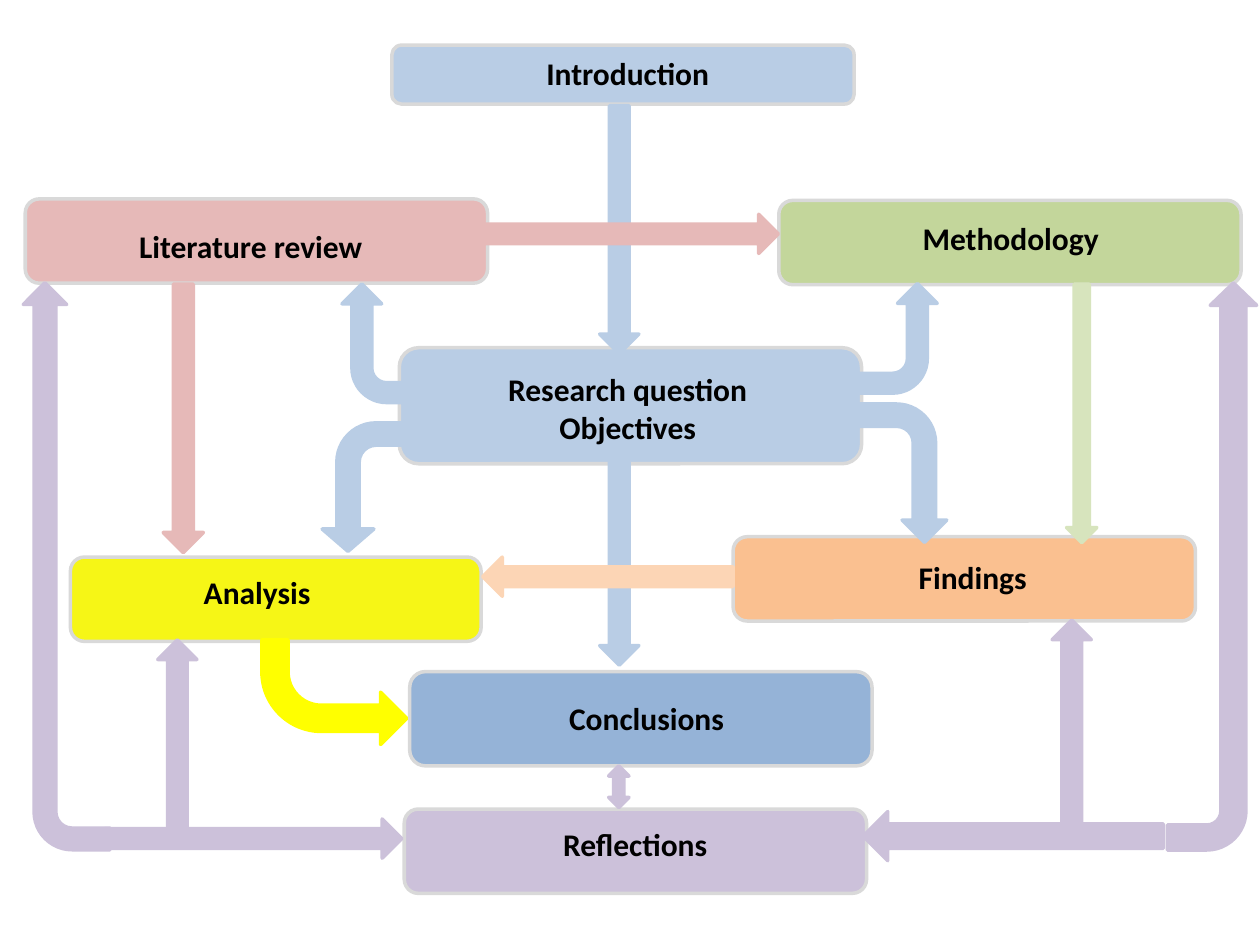
from pptx import Presentation
from pptx.dml.color import RGBColor
from pptx.enum.shapes import MSO_SHAPE
from pptx.enum.text import MSO_AUTO_SIZE, PP_ALIGN
from pptx.oxml.ns import qn
from pptx.util import Cm, Pt

ROUND = MSO_SHAPE.ROUNDED_RECTANGLE
BENT = MSO_SHAPE.BENT_ARROW
DOWN = MSO_SHAPE.DOWN_ARROW
RIGHT = MSO_SHAPE.RIGHT_ARROW
BOTH = MSO_SHAPE.UP_DOWN_ARROW
CENTER = PP_ALIGN.CENTER
GROW = MSO_AUTO_SIZE.SHAPE_TO_FIT_TEXT

BLUE, ROSE, LILAC = "B9CDE5", "E6B9B8", "CCC1DA"
GREY, BLACK = "D9D9D9", "000000"
WIDE = 9.32


def color(code):
    return RGBColor.from_string(code)


class Chart:
    def __init__(self, slide, font="Calibri", size=18):
        self.slide = slide
        self.font = font
        self.size = size

    def shape(self, kind, area, fill, line):
        item = self.slide.shapes.add_shape(kind, *map(Cm, area))
        item.shadow.inherit = False
        item.fill.solid()
        item.fill.fore_color.rgb = color(fill)
        item.line.color.rgb = color(line)
        item.line.width = Pt(2)
        return item

    def box(self, area, fill):
        self.shape(ROUND, area, fill, GREY)

    def label(self, area, lines):
        frame = self.slide.shapes.add_textbox(*map(Cm, area)).text_frame
        frame.word_wrap = True
        frame.auto_size = GROW
        for i, line in enumerate(lines):
            para = frame.add_paragraph() if i else frame.paragraphs[0]
            para.alignment = CENTER
            run = para.add_run()
            run.text = line
            run.font.name = self.font
            run.font.size = Pt(self.size)
            run.font.bold = True
            run.font.color.rgb = color(BLACK)

    def arrow(self, kind, area, fill, turn=0, flip=None, bends=()):
        item = self.shape(kind, area, fill, fill)
        item.rotation = turn
        if flip:
            item._element.spPr.find(qn("a:xfrm")).set(flip, "1")
        for i, bend in enumerate(bends):
            item.adjustments[i] = bend


STAGES = [
    (["Introduction"], BLUE, (7.9, 0.91, WIDE, 1.19), (8.31, 0.97, 8.69, 1.02)),
    (["Literature review"], ROSE, (0.51, 4.01, WIDE, 1.7), (0.61, 4.45, 8.89, 1.07)),
    (["Methodology"], "C3D69B", (15.7, 4.04, WIDE, 1.7), (16.03, 4.29, 8.69, 1.02)),
    (["Research question", "Objectives"], BLUE,
     (8.05, 7.01, WIDE, 2.34), (8.31, 7.34, 8.69, 1.8)),
    (["Findings"], "FAC090", (14.78, 10.82, WIDE, 1.7), (15.7, 11.13, 7.82, 1.02)),
    (["Analysis"], "F6F616", (1.42, 11.23, 8.28, 1.7), (1.91, 11.43, 6.55, 1.07)),
    (["Conclusions"], "95B3D7", (8.26, 13.54, WIDE, 1.9), (8.69, 13.97, 8.69, 1.07)),
    (["Reflections"], LILAC, (8.15, 16.31, WIDE, 1.7), (8.46, 16.51, 8.69, 1.07)),
]

ARROWS = [
    (BENT, (6.5, 6.12, 2.39, 1.6), BLUE, 270),
    (DOWN, (12.09, 2.13, 0.79, 5), BLUE),
    (DOWN, (12.09, 9.32, 0.79, 4.09), BLUE),
    (BENT, (16.79, 8.64, 2.79, 1.8), BLUE, 90),
    (BENT, (6.1, 8.92, 2.59, 1.8), BLUE, 90, "flipV", (0.25, 0.29, 0.25, 0.44)),
    (BENT, (16.99, 6.02, 2.21, 1.6), BLUE, 90, "flipH"),
    (RIGHT, (9.7, 4.32, 5.99, 0.79), ROSE),
    (RIGHT, (0.99, 8.03, 5.41, 0.81), ROSE, 90),
    (RIGHT, (19.2, 8.03, 5.21, 0.61), "D7E4BD", 90),
    (RIGHT, (9.73, 11.23, 5.05, 0.79), "FCD5B5", 180),
    (BENT, (5.28, 12.9, 2.92, 2.11), "FFFF00", 0, "flipV", (0.25, 0.25, 0.25, 0.57)),
    (BENT, (18.72, 10.52, 11.43, 1.8), LILAC, 90, "flipH", (0.28, 0.26, 0.25, 0.44)),
    (RIGHT, (17.4, 16.36, 6.05, 0.99), LILAC, 180),
    (DOWN, (21.21, 12.5, 0.79, 4.09), LILAC, 180),
    (DOWN, (3.18, 12.9, 0.79, 4.09), LILAC, 180),
    (RIGHT, (2.11, 16.51, 5.99, 0.79), LILAC),
    (BENT, (-4.37, 10.54, 11.43, 1.75), LILAC, 270),
    (BOTH, (12.27, 15.44, 0.41, 0.84), LILAC),
]


def main():
    deck = Presentation()
    deck.slide_width, deck.slide_height = Cm(25.4), Cm(19.05)
    chart = Chart(deck.slides.add_slide(deck.slide_layouts[6]))
    for lines, fill, area, place in STAGES:
        chart.box(area, fill)
        chart.label(place, lines)
    for arrow in ARROWS:
        chart.arrow(*arrow)
    deck.save("out.pptx")


if __name__ == "__main__":
    main()
